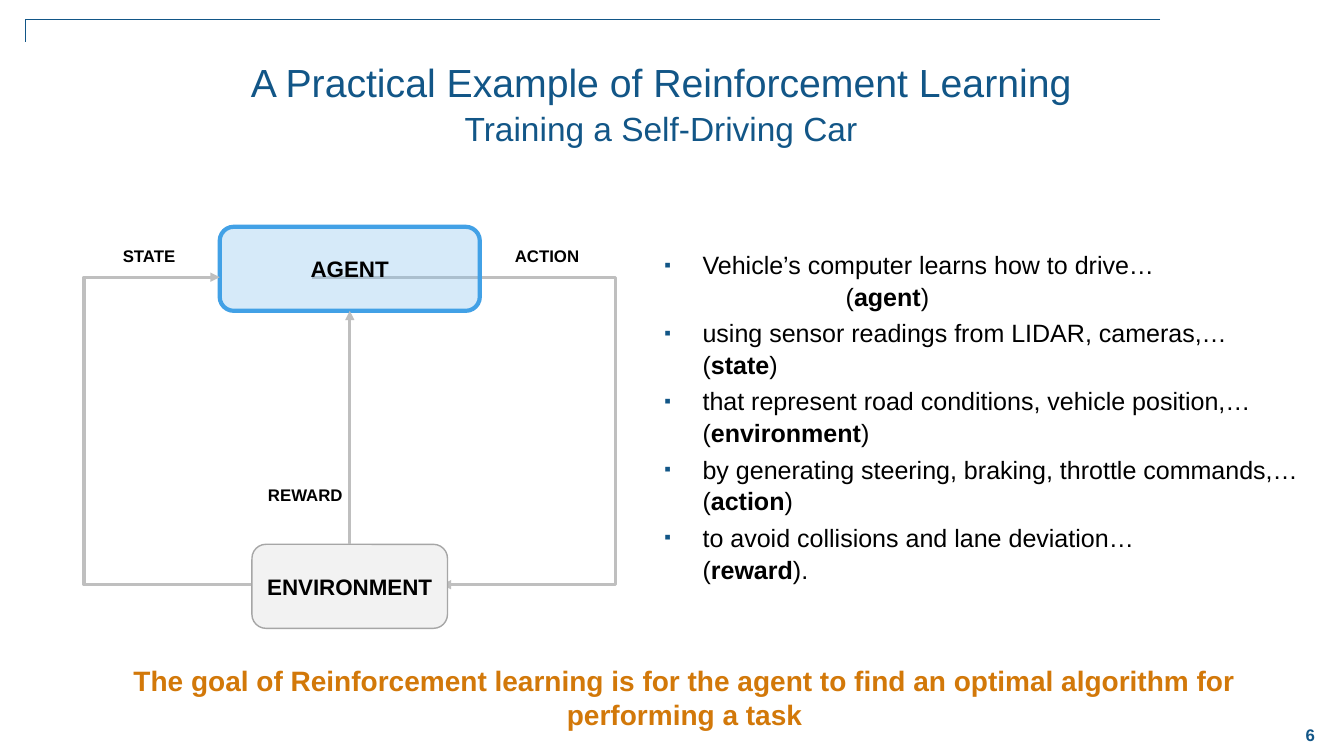
from dataclasses import dataclass

from lxml import etree
from pptx import Presentation
from pptx.dml.color import RGBColor
from pptx.enum.shapes import MSO_CONNECTOR, MSO_SHAPE
from pptx.enum.text import MSO_ANCHOR, PP_ALIGN
from pptx.oxml.ns import qn
from pptx.util import Inches, Pt

LEFT, CENTER = PP_ALIGN.LEFT, PP_ALIGN.CENTER
TOP, MIDDLE = MSO_ANCHOR.TOP, MSO_ANCHOR.MIDDLE
ROUNDED = MSO_SHAPE.ROUNDED_RECTANGLE
STRAIGHT = MSO_CONNECTOR.STRAIGHT
SIDE_TOP, SIDE_BOTTOM = 0, 2

WIDTH, HEIGHT = Inches(13.33), Inches(7.5)
COLUMNS, ROWS = 160, 90


@dataclass(frozen=True)
class Theme:
    font: str = "Arial"
    blue: str = "125687"
    black: str = "000000"
    orange: str = "D27809"
    arrow: str = "BFBFBF"
    agent_fill: str = "81C0EE"
    agent_line: str = "42A1E6"
    environment_fill: str = "F2F2F2"
    environment_line: str = "A6A6A6"
    title: float = 28
    subtitle: float = 23.9
    goal: float = 20
    body: float = 17.9
    node: float = 16
    label: float = 12
    arrow_width: float = 2.25
    leading: float = 1.06


THEME = Theme()

BULLETS = [
    ("Vehicle’s computer learns how to drive…", "\t(", "agent", ")"),
    ("using sensor readings from LIDAR, cameras,…", "(", "state", ")"),
    ("that represent road conditions, vehicle position,…", "(", "environment", ")"),
    ("by generating steering, braking, throttle commands,…", "(", "action", ")"),
    ("to avoid collisions and lane deviation…", "(", "reward", ")."),
]

LABELS = [
    ("ACTION", 60.12, 28.68, 10.2),
    ("REWARD", 30.72, 57.12, 11.4),
    ("STATE", 13.44, 28.68, 8.76),
]


def col(count):
    return round(WIDTH * count / COLUMNS)


def row(count):
    return round(HEIGHT * count / ROWS)


def place(left, top, width, height):
    return col(left), row(top), col(width), row(height)


def color(value):
    return RGBColor.from_string(value)


def style(span, size, ink, bold=False):
    span.font.name = THEME.font
    span.font.size = Pt(size)
    span.font.color.rgb = color(ink)
    span.font.bold = bold


def add_text(page, text, area, size, ink, bold=True, align=CENTER, anchor=TOP, wrap=True):
    frame = page.shapes.add_textbox(*place(*area)).text_frame
    frame.word_wrap = wrap
    frame.vertical_anchor = anchor
    frame.text = text
    para = frame.paragraphs[0]
    para.alignment = align
    for span in para.runs:
        style(span, size, ink, bold)
    return para


def add_title(page):
    text = "A Practical Example of Reinforcement Learning\vTraining a Self-Driving Car"
    para = add_text(page, text, (8, 6, 141.4, 13), THEME.title, THEME.blue, bold=False)
    para.line_spacing = THEME.leading
    para.runs[1].font.size = Pt(THEME.subtitle)


def add_bullet(para):
    properties = para._p.get_or_add_pPr()
    properties.set("marL", str(Inches(0.38)))
    properties.set("indent", str(-Inches(0.38)))
    ink = etree.SubElement(properties, qn("a:buClr"))
    etree.SubElement(ink, qn("a:srgbClr"), val=THEME.blue)
    etree.SubElement(properties, qn("a:buSzPct"), val="75000")
    etree.SubElement(properties, qn("a:buFont"), typeface=THEME.font)
    etree.SubElement(properties, qn("a:buChar"), char="▪")
    stops = etree.SubElement(properties, qn("a:tabLst"))
    etree.SubElement(stops, qn("a:tab"), pos=str(Inches(1.8)), algn="l")


def add_body(page):
    frame = page.shapes.add_textbox(*place(77.9, 28.92, 82, 51.8)).text_frame
    frame.word_wrap = True
    for index, (lead, opening, term, closing) in enumerate(BULLETS):
        para = frame.add_paragraph() if index else frame.paragraphs[0]
        add_bullet(para)
        para.line_spacing = THEME.leading
        para.space_before = Pt(3.2 if index else 0)
        para.text = f"{lead}\v"
        for text in (opening, term, closing):
            para.add_run().text = text
        for span in para.runs:
            style(span, THEME.body, THEME.black, span.text == term)


def add_node(page, text, area, fill, line, line_width, alpha=None):
    box = page.shapes.add_shape(ROUNDED, *place(*area))
    box.shadow.inherit = False
    box.fill.solid()
    box.fill.fore_color.rgb = color(fill)
    if alpha:
        ink = box.fill._xPr.find(".//" + qn("a:srgbClr"))
        etree.SubElement(ink, qn("a:alpha"), val=str(alpha * 1000))
    box.line.color.rgb = color(line)
    box.line.width = Pt(line_width)
    frame = box.text_frame
    frame.word_wrap = False
    frame.vertical_anchor = MIDDLE
    frame.text = text
    para = frame.paragraphs[0]
    para.alignment = CENTER
    style(para.runs[0], THEME.node, THEME.black, bold=True)
    return box


def add_arrowhead(shape):
    etree.SubElement(shape.line._get_or_add_ln(), qn("a:tailEnd"), type="triangle")


def add_path(page, points, ink, width):
    (start_x, start_y), *corners = [(col(x), row(y)) for x, y in points]
    builder = page.shapes.build_freeform(start_x, start_y)
    builder.add_line_segments(corners, close=False)
    path = builder.convert_to_shape()
    path.shadow.inherit = False
    path.fill.background()
    path.line.color.rgb = color(ink)
    path.line.width = Pt(width)
    return path


def add_loop_arrow(page, points):
    add_arrowhead(add_path(page, points, THEME.arrow, THEME.arrow_width))


def add_reward_arrow(page, environment, agent):
    arrow = page.shapes.add_connector(STRAIGHT, 0, 0, 0, 0)
    arrow.begin_connect(environment, SIDE_TOP)
    arrow.end_connect(agent, SIDE_BOTTOM)
    arrow.line.color.rgb = color(THEME.arrow)
    arrow.line.width = Pt(THEME.arrow_width)
    add_arrowhead(arrow)
    etree.SubElement(arrow._element.spPr, qn("a:effectLst"))


def add_cycle(page):
    upper, lower = 33, 69.6
    add_loop_arrow(page, [(37.1, upper), (73.3, upper), (73.3, lower), (52.6, lower)])
    agent = add_node(page, "AGENT", (26.16, 27, 30.96, 10),
                     THEME.agent_fill, THEME.agent_line, 3, alpha=32)
    add_loop_arrow(page, [(38.2, lower), (10, lower), (10, upper), (26.16, upper)])
    environment = add_node(page, "ENVIRONMENT", (30, 64.8, 23.28, 10),
                           THEME.environment_fill, THEME.environment_line, 1)
    add_reward_arrow(page, environment, agent)
    for text, left, top, width in LABELS:
        add_text(page, text, (left, top, width, 3.6), THEME.label, THEME.black,
                 align=LEFT, wrap=False)


def main():
    deck = Presentation()
    deck.slide_width, deck.slide_height = WIDTH, HEIGHT
    page = deck.slides.add_slide(deck.slide_layouts[6])
    add_text(page, "6", (152, 85, 8, 5), THEME.label, THEME.blue, anchor=MIDDLE)
    add_path(page, [(138.1, 2.3), (3, 2.3), (3, 5)], THEME.blue, 1)
    add_title(page)
    add_body(page)
    add_cycle(page)
    goal = ("The goal of Reinforcement learning is for the agent to find "
            "an optimal algorithm for performing a task")
    add_text(page, goal, (11, 78.4, 141, 10), THEME.goal, THEME.orange)
    deck.save("out.pptx")


if __name__ == "__main__":
    main()
